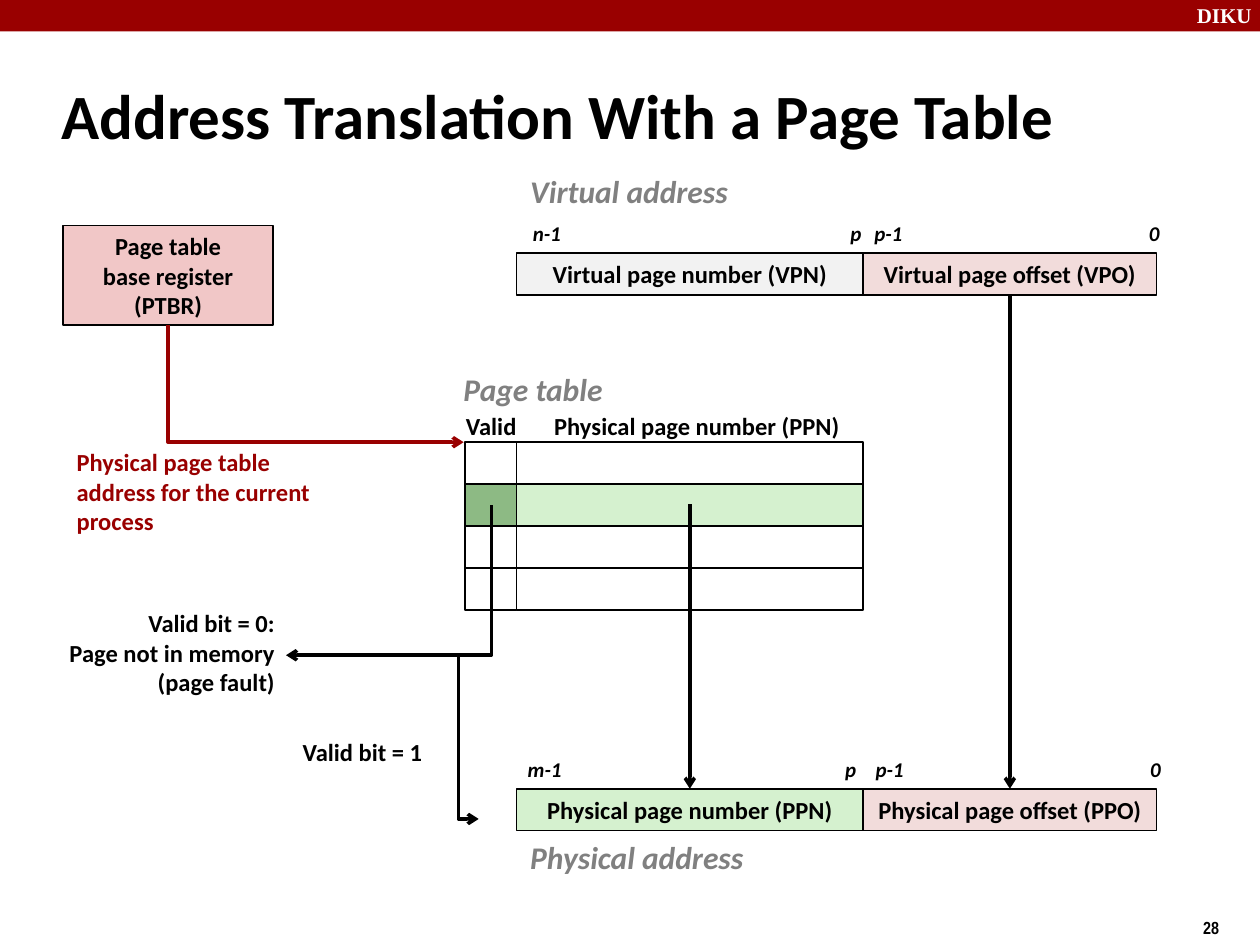
from dataclasses import dataclass
from lxml.etree import SubElement as Sub
from pptx import Presentation
from pptx.dml.color import RGBColor as Rgb
from pptx.enum.shapes import MSO_CONNECTOR as Wire, MSO_SHAPE as Shape
from pptx.enum.text import MSO_ANCHOR as Anchor, PP_ALIGN as Align
from pptx.oxml.ns import qn
from pptx.util import Inches, Pt


@dataclass(frozen=True)
class Theme:
    face: str = "Calibri"
    ink: str = "000000"
    paper: str = "FFFFFF"
    red: str = "990000"
    gray: str = "808080"
    pale: str = "F2F2F2"
    rose: str = "F2DCDB"
    pink: str = "F1C7C7"
    mint: str = "D5F1CF"
    moss: str = "8DBA84"
    title: int = 36
    head: int = 18
    body: int = 14
    mark: int = 12
    small: int = 10
    edge: int = 1
    wire: int = 2


T = Theme()
COLS, ROWS = 100, 75
SPLIT = 27.5  # columns taken by a page number
ROW = 3.33  # rows taken by one field


def cell(n):
    """Turn grid units into a length."""
    return Inches(10 * n / COLS)


def write(shape, text, size=T.body, color=T.ink, face=T.face,
          align=Align.LEFT, italic=False):
    shape.text_frame.text = text
    for para in shape.text_frame.paragraphs:
        para.alignment = align
        font = para.font
        font.name, font.size = face, Pt(size)
        font.bold, font.italic = True, italic
        font.color.rgb = Rgb.from_string(color)


def label(slide, box, text, wrap=False, **style):
    shape = slide.shapes.add_textbox(*map(cell, box))
    shape.text_frame.word_wrap = wrap
    write(shape, text, **style)
    return shape


def block(slide, box, fill=None, text="", edge=T.ink):
    shape = slide.shapes.add_shape(Shape.RECTANGLE, *map(cell, box))
    shape.shadow.inherit = False
    if fill:
        shape.fill.solid()
        shape.fill.fore_color.rgb = Rgb.from_string(fill)
    else:
        shape.fill.background()
    if edge:
        shape.line.color.rgb = Rgb.from_string(edge)
        shape.line.width = Pt(T.edge)
    else:
        shape.line.fill.background()
    if text:
        shape.text_frame.vertical_anchor = Anchor.MIDDLE
        write(shape, text, align=Align.CENTER)
    return shape


def arrow(slide, start, end, kind=Wire.STRAIGHT, color=T.ink):
    line = slide.shapes.add_connector(kind, *map(cell, start + end))
    line.line.color.rgb = Rgb.from_string(color)
    line.line.width = Pt(T.wire)
    Sub(line.line._get_or_add_ln(), qn("a:tailEnd"), type="arrow")
    Sub(line._element.spPr, qn("a:effectLst"))
    return line


def corner(slide, start, end, color=T.ink):
    """Draw an arrow that runs down first, then sideways."""
    (x1, y1), (x2, y2) = start, end
    line = arrow(slide, start, end, Wire.ELBOW, color)
    wide, high = y2 - y1, abs(x2 - x1)
    line.left, line.top = cell((x1 + x2 - wide) / 2), cell((y1 + y2 - high) / 2)
    line.width, line.height = cell(wide), cell(high)
    props = line._element.spPr
    props.find(qn("a:prstGeom")).set("prst", "bentConnector2")
    form = props.find(qn("a:xfrm"))
    form.attrib.pop("flipH", None)
    if x2 > x1:
        form.set("flipH", "1")
    form.set("rot", str((270 if x2 > x1 else 90) * 60000))


def detour(slide, start, end, reach):
    """Draw an arrow that leaves sideways by reach, runs down and turns back."""
    line = arrow(slide, start, end, Wire.ELBOW)
    share = reach / abs(end[0] - start[0])
    geom = line._element.spPr.find(qn("a:prstGeom"))
    Sub(geom.find(qn("a:avLst")), qn("a:gd"), name="adj1",
        fmla=f"val {round(share * 100000)}")


def frame(slide, box):
    """Place the top bar, its name, the title and the page number."""
    x, y, w, h = box
    block(slide, (x, y, w, 2.5), T.red, edge=None)
    label(slide, (x + 94, y - 0.3, 6.7, 3), "DIKU", wrap=True,
          size=T.mark, color=T.paper, face="Times New Roman")
    label(slide, (x + 94.5, y + h - 2.7, 7.5, 2.9), "28",
          size=T.small, face="Arial Narrow")
    title = label(slide, (x + 3.9, y + 4.9, 83, 8.3),
                  "Address Translation With a Page Table", wrap=True, size=T.title)
    title.text_frame.vertical_anchor = Anchor.MIDDLE


def address(slide, box, names, fills, marks, head, drop):
    """Place two joined fields, their bit marks and a heading; return the fields."""
    x, y, w, h = box
    spans = ((x, SPLIT), (x + SPLIT, w - SPLIT))
    fields = [block(slide, (left, y, wide, h), fill, name)
              for (left, wide), fill, name in zip(spans, fills, names)]
    for text, shift, wide in marks:
        label(slide, (x + shift, y - 3.05, wide, 3), text, size=T.mark, italic=True)
    label(slide, (x + 0.1, y + drop, 20, 4), head,
          wrap=True, size=T.head, color=T.gray, italic=True)
    return fields


def table(slide, box):
    """Place the page table with its second entry marked."""
    x, y, w, h = box
    flag, step = w - SPLIT, h / 4
    for row in range(4):
        top = y + row * step
        hit = row == 1
        block(slide, (x + flag, top, SPLIT, step), T.mint if hit else None)
        block(slide, (x, top, flag, step), T.moss if hit else None)
    label(slide, (x - 1.1, y - 6.2, 14.2, 4), "Page table", wrap=True,
          size=T.head, color=T.gray, italic=True)
    label(slide, (x - 0.9, y - 3, 6, 3.3), "Valid")
    label(slide, (x + 6.1, y - 2.95, 25.5, 3.3), "Physical page number (PPN)", wrap=True)


def register(slide, box, goal):
    """Place the base register and its arrow to the page table."""
    x, y, w, h = box
    block(slide, box, T.pink, "Page table\vbase register\n(PTBR)")
    corner(slide, (x + w / 2, y + h), goal, T.red)
    label(slide, (x + 0.1, y + 17.1, 20.5, 8),
          "Physical page table\naddress for the current\nprocess", color=T.red)


def valid(slide, box):
    """Place the two outcomes of the valid bit, which is at the top right."""
    x, y, w, h = box
    turn = (x + w, y + 11.9)
    detour(slide, turn, (turn[0] - 1, y + h), 2.6)
    corner(slide, (x + w, y), (x + 18.2, turn[1]))
    label(slide, (x, y + 7.7, 18.3, 8),
          "Valid bit = 0:\nPage not in memory\n(page fault)", align=Align.RIGHT)
    label(slide, (x + 18.5, y + 17.9, 11.5, 3.3), "Valid bit = 1", align=Align.RIGHT)


def main():
    deck = Presentation()
    deck.slide_width, deck.slide_height = cell(COLS), cell(ROWS)
    slide = deck.slides.add_slide(deck.slide_layouts[6])
    frame(slide, (0, 0, COLS, ROWS))
    _, vpo = address(
        slide, (41, 20.1, 50.8, ROW),
        ("Virtual page number (VPN)", "Virtual page offset (VPO)"),
        (T.pale, T.rose),
        (("n-1", 0.3, 4.2), ("p", 25.5, 2.9), ("p-1", 27.4, 4.2), ("0", 49.2, 2.8)),
        "Virtual address", -6.9)
    ppn, ppo = address(
        slide, (41, 62.6, 50.8, ROW),
        ("Physical page number (PPN)", "Physical page offset (PPO)"),
        (T.mint, T.rose),
        (("m-1", -0.1, 4.7), ("p", 25.1, 2.9), ("p-1", 27.5, 4.2), ("0", 49.3, 2.8)),
        "Physical address", 3.4)
    table(slide, (36.9, 35.1, 31.6, 4 * ROW))
    register(slide, (5, 17.9, 16.7, 7.9), (36.8, 35.1))
    valid(slide, (4.5, 40.1, 34.5, 24.9))
    offset = arrow(slide, (80.2, 23.4), (80.2, 62.6))
    offset.begin_connect(vpo, 2)
    offset.end_connect(ppo, 0)
    arrow(slide, (54.75, 40), (54.75, 62.6)).end_connect(ppn, 0)
    deck.save("out.pptx")


if __name__ == "__main__":
    main()
